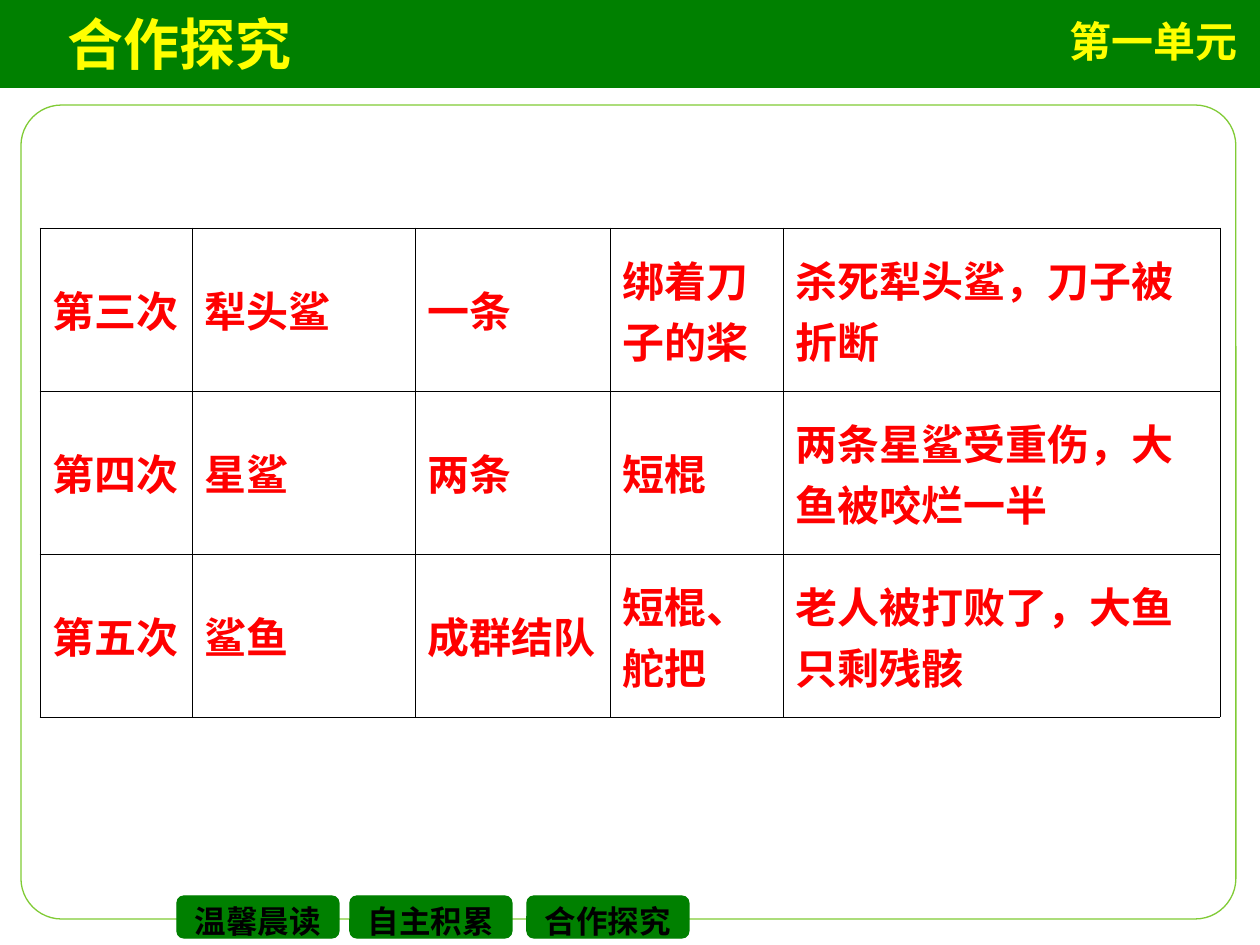
import pptx
import pptx.dml.color
import pptx.enum.lang
import pptx.enum.shapes
import pptx.enum.text
import pptx.oxml
import pptx.oxml.ns
import pptx.util

PX = 914400 // 126
COLORS = {
    "page": "FFFFFF",
    "banner": "008000",
    "frame": "80CB35",
    "heading": "FFFF00",
    "tab_label": "000000",
    "answer": "FF0000",
    "grid": "000000",
}
ALIGN = pptx.enum.text.PP_ALIGN
ANCHOR = pptx.enum.text.MSO_ANCHOR
SHAPE = pptx.enum.shapes.MSO_SHAPE

COLUMN_WIDTHS = [152, 223, 195, 173, 437]
ROW_HEIGHT = 163
BATTLES = [
    ["第三次", "犁头鲨", "一条", "绑着刀子的桨", "杀死犁头鲨，刀子被折断"],
    ["第四次", "星鲨", "两条", "短棍", "两条星鲨受重伤，大鱼被咬烂一半"],
    ["第五次", "鲨鱼", "成群结队", "短棍、舵把", "老人被打败了，大鱼只剩残骸"],
]
TABS = [(177, "温馨晨读"), (350, "自主积累"), (527, "合作探究")]


def px(*lengths):
    return [pptx.util.Emu(length * PX) for length in lengths]


def rgb(name):
    return pptx.dml.color.RGBColor.from_string(COLORS[name])


def write(frame, text, *, size, color, font="Times New Roman", align=ALIGN.LEFT,
          anchor=ANCHOR.MIDDLE, spacing=1.0, wrap=True):
    frame.word_wrap = wrap
    frame.vertical_anchor = anchor
    paragraph = frame.paragraphs[0]
    paragraph.alignment = align
    paragraph.line_spacing = spacing
    run = paragraph.add_run()
    run.text = text
    run.font.name = font
    run.font.size = pptx.util.Pt(size)
    run.font.bold = True
    run.font.color.rgb = rgb(color)
    run.font.language_id = pptx.enum.lang.MSO_LANGUAGE_ID.SIMPLIFIED_CHINESE


def add_panel(slide, kind, box, fill, line=None, corner=None):
    panel = slide.shapes.add_shape(kind, *px(*box))
    panel.shadow.inherit = False
    panel.fill.solid()
    panel.fill.fore_color.rgb = rgb(fill)
    if line:
        panel.line.color.rgb = rgb(line)
        panel.line.width = pptx.util.Pt(0.75)
    else:
        panel.line.fill.background()
    if corner is not None:
        panel.adjustments[0] = corner
    return panel


def add_title(slide, text):
    """Place the title placeholder above the panels drawn so far."""
    title = slide.shapes.title
    title.left, title.top, title.width, title.height = px(55, -10, 257, 93)
    slide.shapes._spTree.append(title._element)
    write(title.text_frame, text, size=32, color="heading", spacing=1.2, wrap=False)
    title.text_frame.auto_size = pptx.enum.text.MSO_AUTO_SIZE.NONE


def add_unit_label(slide, text):
    label = slide.shapes.add_textbox(*px(1057, 9, 208, 63))
    write(label.text_frame, text, size=24, color="heading", anchor=ANCHOR.TOP)


def add_tab(slide, left, text):
    tab = add_panel(slide, SHAPE.ROUNDED_RECTANGLE, (left, 896, 162, 42),
                    "banner", "banner", 0.17)
    write(tab.text_frame, text, size=18, color="tab_label",
          align=ALIGN.CENTER, spacing=1.2)


def border_cell(cell):
    properties = cell._tc.get_or_add_tcPr()
    for position, side in enumerate(("lnL", "lnR", "lnT", "lnB")):
        properties.insert(position, pptx.oxml.parse_xml(
            f'<a:{side} {pptx.oxml.ns.nsdecls("a")} w="{int(pptx.util.Pt(0.45))}">'
            f'<a:solidFill><a:srgbClr val="{COLORS["grid"]}"/></a:solidFill></a:{side}>'))


def add_battle_table(slide):
    box = px(40, 228, sum(COLUMN_WIDTHS), ROW_HEIGHT * len(BATTLES))
    table = slide.shapes.add_table(len(BATTLES), len(COLUMN_WIDTHS), *box).table
    table.first_row = False
    table.horz_banding = False
    for column, width in zip(table.columns, px(*COLUMN_WIDTHS)):
        column.width = width
    for row, battle in zip(table.rows, BATTLES):
        row.height = px(ROW_HEIGHT)[0]
        for cell, text in zip(row.cells, battle):
            cell.fill.background()
            cell.vertical_anchor = ANCHOR.MIDDLE
            write(cell.text_frame, text, size=24, color="answer", font="Arial")
            cell.vertical_anchor = ANCHOR.MIDDLE
            border_cell(cell)


def main():
    deck = pptx.Presentation()
    deck.slide_width, deck.slide_height = px(1260, 945)
    slide = deck.slides.add_slide(deck.slide_layouts[5])
    add_panel(slide, SHAPE.ROUNDED_RECTANGLE, (21, 105, 1215, 814),
              "page", "frame", 0.05)
    add_panel(slide, SHAPE.RECTANGLE, (0, 0, 1260, 88), "banner")
    add_title(slide, "合作探究")
    for left, text in TABS:
        add_tab(slide, left, text)
    add_unit_label(slide, "第一单元")
    add_battle_table(slide)
    deck.save("out.pptx")


if __name__ == "__main__":
    main()
